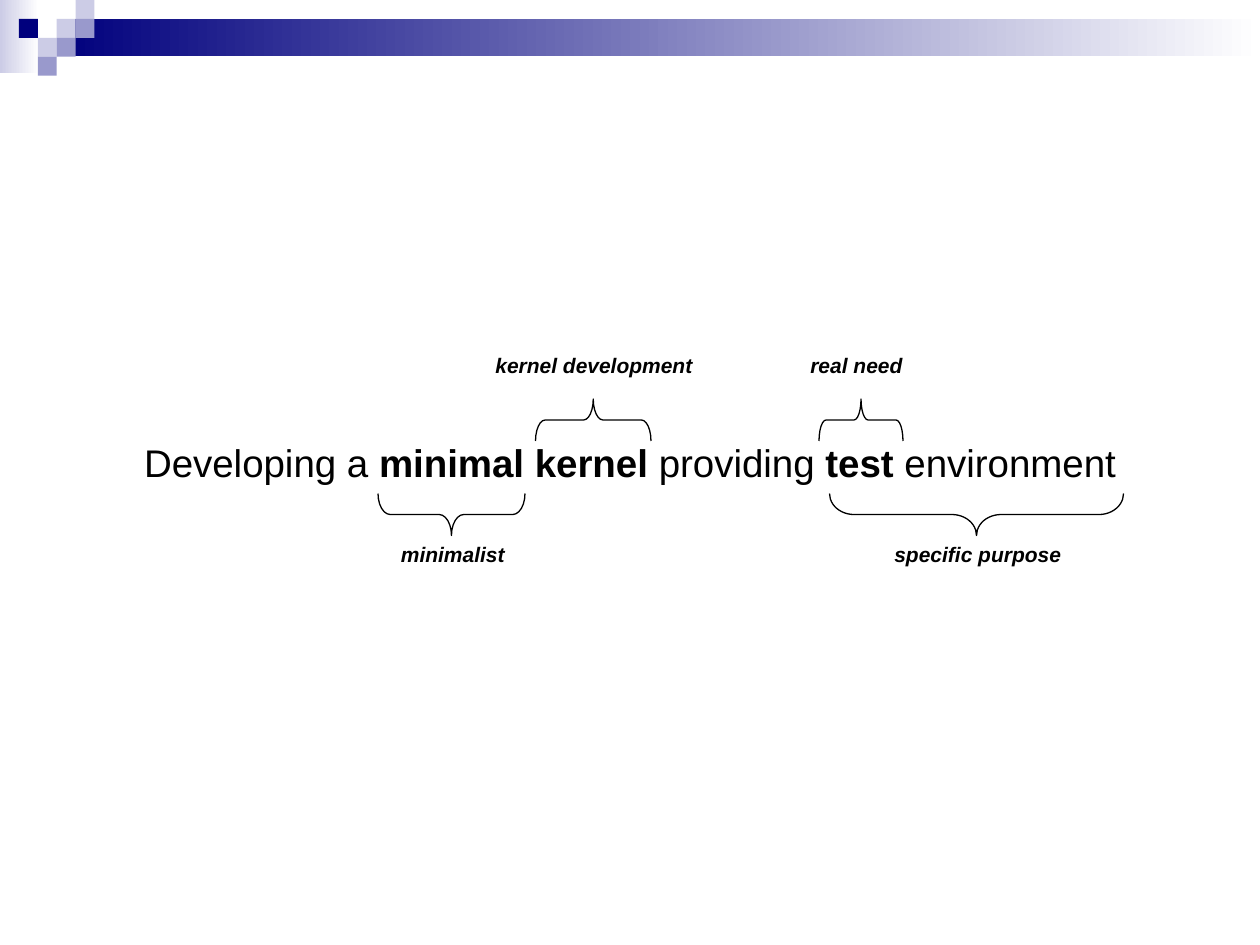
import pptx
import pptx.dml.color
import pptx.enum.shapes
import pptx.enum.text
import pptx.util

EMU_PER_PX = 3810
SQUARE = 36
BRACE_HEIGHT = 80
LABEL_HEIGHT = 72


def px(*lengths):
    return [pptx.util.Emu(length * EMU_PER_PX) for length in lengths]


def colour(value):
    return pptx.dml.color.RGBColor.from_string(value)


def apply(target, values):
    for attribute, value in values.items():
        setattr(target, attribute, value)


class SlideBuilder:
    INK = "000000"
    TITLE_FONT = {"name": "Arial", "size": pptx.util.Pt(22), "italic": False}
    LABEL_FONT = {"name": "Arial", "size": pptx.util.Pt(12), "bold": True, "italic": True}
    INSETS = dict(zip(("margin_left", "margin_top", "margin_right", "margin_bottom"), px(24, 12, 24, 12)))

    def __init__(self, slide):
        self.slide = slide

    def rectangle(self, left, top, width, height, *colours):
        kind = pptx.enum.shapes.MSO_SHAPE.RECTANGLE
        block = self.slide.shapes.add_shape(kind, *px(left, top, width, height))
        block.shadow.inherit = False
        block.line.fill.background()
        if len(colours) == 1:
            block.fill.solid()
            block.fill.fore_color.rgb = colour(colours[0])
            return
        block.fill.gradient()
        block.fill.gradient_angle = 0
        for stop, value in zip(block.fill.gradient_stops, colours):
            stop.color.rgb = colour(value)

    def run(self, paragraph, words, font):
        run = paragraph.add_run()
        run.text = words
        apply(run.font, font)
        run.font.color.rgb = colour(self.INK)

    def title(self, left, top, width, height, pieces):
        title = self.slide.shapes.title
        apply(title, dict(zip(("left", "top", "width", "height"), px(left, top, width, height))))
        frame = title.text_frame
        apply(frame, {
            **self.INSETS,
            "word_wrap": True,
            "auto_size": pptx.enum.text.MSO_AUTO_SIZE.NONE,
            "vertical_anchor": pptx.enum.text.MSO_ANCHOR.MIDDLE,
        })
        sentence = frame.paragraphs[0]
        sentence.alignment = pptx.enum.text.PP_ALIGN.CENTER
        for words, bold in pieces:
            self.run(sentence, words, {**self.TITLE_FONT, "bold": bold})

    def brace(self, left, top, length, rotation):
        shift = (length - BRACE_HEIGHT) // 2
        kind = pptx.enum.shapes.MSO_SHAPE.LEFT_BRACE
        brace = self.slide.shapes.add_shape(kind, *px(left + shift, top - shift, BRACE_HEIGHT, length))
        brace.rotation = rotation
        brace.adjustments[0] = length / BRACE_HEIGHT / 12
        brace.shadow.inherit = False
        brace.fill.background()
        brace.line.color.rgb = colour(self.INK)
        brace.line.width = pptx.util.Pt(0.75)

    def label(self, left, top, width, words):
        label = self.slide.shapes.add_textbox(*px(left, top, width, LABEL_HEIGHT))
        apply(label.text_frame, {
            **self.INSETS,
            "word_wrap": True,
            "auto_size": pptx.enum.text.MSO_AUTO_SIZE.NONE,
        })
        self.run(label.text_frame.paragraphs[0], words, self.LABEL_FONT)


def main():
    deck = pptx.Presentation()
    deck.slide_width, deck.slide_height = px(2400, 1800)
    builder = SlideBuilder(deck.slides.add_slide(deck.slide_layouts[5]))

    navy, lavender, pale, white = "00007D", "9999CC", "CCCCE6", "FFFFFF"
    builder.rectangle(0, 0, 74, 139, pale, white)
    builder.rectangle(108, SQUARE, 2292, 2 * SQUARE - 1, navy, white)
    mosaic = [
        (3, 1, pale), (4, 0, pale), (4, 1, lavender), (2, 2, pale),
        (1, 1, navy), (3, 2, lavender), (2, 3, lavender),
    ]
    for column, row, shade in mosaic:
        builder.rectangle(column * SQUARE, row * SQUARE, SQUARE, SQUARE, shade)

    builder.title(0, 700, 2400, 360, [
        ("Developing a ", False),
        ("minimal kernel", True),
        (" providing ", False),
        ("test", True),
        (" environment", False),
    ])

    above = {"brace_top": 760, "rotation": 90, "label_top": 660}
    below = {"brace_top": 940, "rotation": 270, "label_top": 1020}
    remarks = [
        ("kernel development", above, 1020, 220, 920, 440),
        ("minimalist", below, 720, 280, 740, 260),
        ("real need", above, 1560, 160, 1520, 240),
        ("specific purpose", below, 1580, 560, 1680, 380),
    ]
    for words, side, brace_left, length, label_left, label_width in remarks:
        builder.brace(brace_left, side["brace_top"], length, side["rotation"])
        builder.label(label_left, side["label_top"], label_width, words)

    deck.save("out.pptx")


if __name__ == "__main__":
    main()
